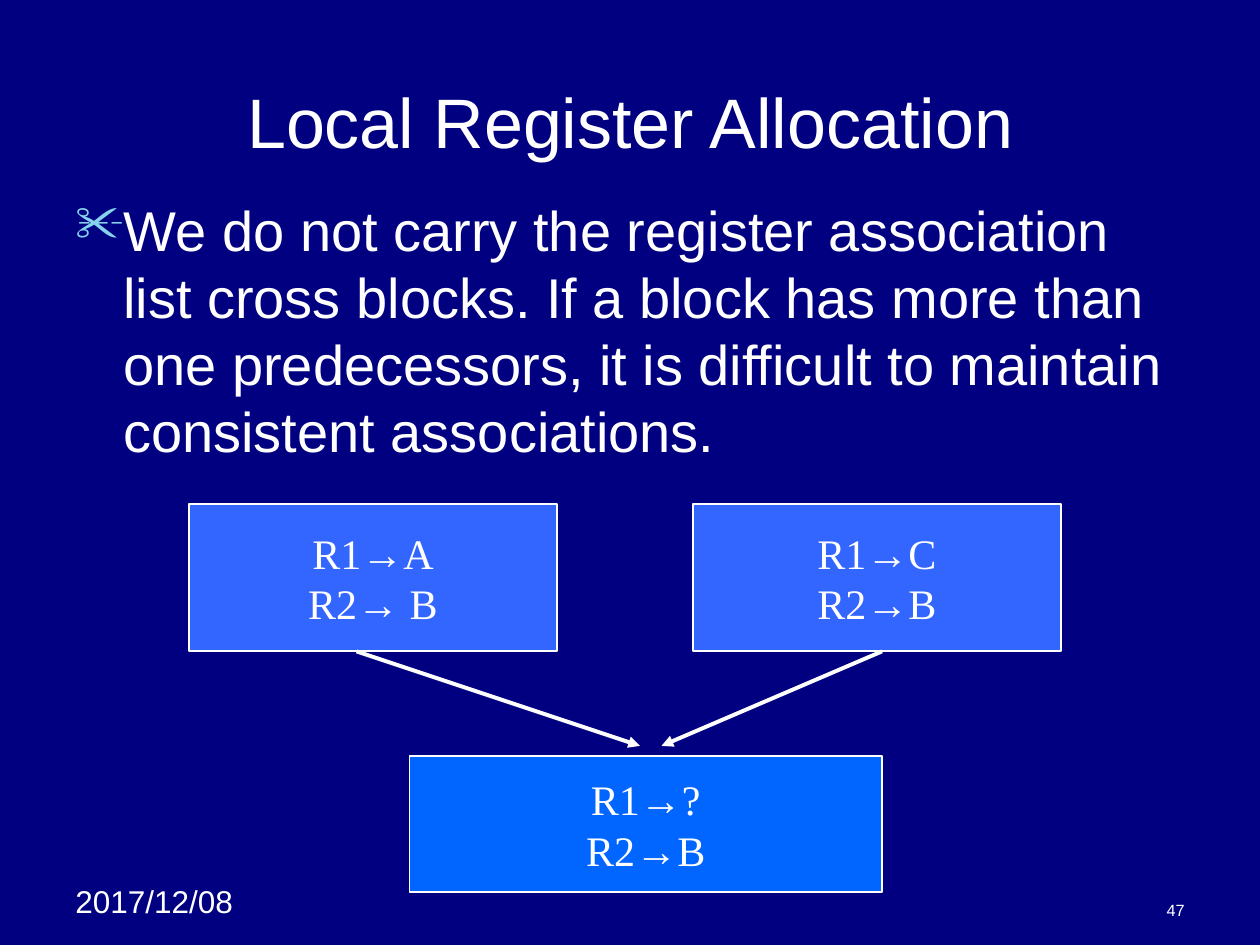
from dataclasses import dataclass

from lxml.etree import SubElement
from pptx import Presentation
from pptx.dml.color import RGBColor
from pptx.enum.shapes import MSO_CONNECTOR as Link, MSO_SHAPE as Form
from pptx.enum.text import MSO_ANCHOR as Anchor, PP_ALIGN as Align
from pptx.oxml.ns import qn
from pptx.util import Inches, Pt

HEX = {"back": "000080", "white": "FFFFFF", "source": "3366FF",
       "merge": "0066FF", "bullet": "86D1EC"}
SANS, SERIF = "Arial", "Times New Roman"
ARROW = "→"


@dataclass
class Label:
    text: str
    at: tuple[float, float, float, float]
    size: float
    align: Align = Align.LEFT
    anchor: Anchor = Anchor.TOP


@dataclass
class Block:
    """A basic block with its register pairs."""
    at: tuple[float, float, float, float]
    fill: str
    pairs: list[tuple[str, str]]


@dataclass
class Edge:
    start: tuple[float, float]
    end: tuple[float, float]


LABELS = [
    Label("2017/12/08", (0.5, 6.95, 1.58, 0.7), 18),
    Label("47", (7.17, 7.08, 2.33, 0.27), 9.3, Align.RIGHT, Anchor.BOTTOM),
    Label("Local Register Allocation", (0.5, 0.58, 9, 0.75), 40,
          Align.CENTER, Anchor.MIDDLE),
]
BODY = Label("We do not carry the register association list cross blocks. "
             "If a block has more than one predecessors, it is difficult to "
             "maintain consistent associations.", (0.5, 1.5, 9.08, 5.58), 32)
BLOCKS = [
    Block((1.5, 4, 2.92, 1.17), "source", [("R1", "A"), ("R2", " B")]),
    Block((5.5, 4, 2.92, 1.17), "source", [("R1", "C"), ("R2", "B")]),
    Block((3.25, 6, 3.75, 1.08), "merge", [("R1", "?"), ("R2", "B")]),
]
EDGES = [Edge((2.83, 5.17), (5.08, 5.92)), Edge((7, 5.17), (5.25, 5.92))]


def tint(name: str) -> RGBColor:
    return RGBColor.from_string(HEX[name])


def style(font, size: float) -> None:
    font.size = Pt(size)
    font.color.rgb = tint("white")


def add_label(slide, label: Label):
    """Draw a text box and return its paragraph."""
    frame = slide.shapes.add_textbox(*map(Inches, label.at)).text_frame
    frame.word_wrap = True
    frame.vertical_anchor = label.anchor
    para = frame.paragraphs[0]
    para.text = label.text
    para.alignment = label.align
    return para


def add_bullet(para) -> None:
    props = para._p.get_or_add_pPr()
    props.set("marL", str(Inches(0.38)))
    props.set("indent", str(-Inches(0.38)))
    color = SubElement(props, qn("a:buClr"))
    SubElement(color, qn("a:srgbClr"), val=HEX["bullet"])
    SubElement(props, qn("a:buSzPct"), val="90000")
    SubElement(props, qn("a:buChar"), char="✂")


def set_font(para, size: float) -> None:
    para.font.name = SANS
    style(para.font, size)


def add_block(slide, block: Block) -> None:
    shape = slide.shapes.add_shape(Form.RECTANGLE, *map(Inches, block.at))
    shape.shadow.inherit = False
    shape.fill.solid()
    shape.fill.fore_color.rgb = tint(block.fill)
    shape.line.color.rgb = tint("white")
    shape.line.width = Pt(1)
    frame = shape.text_frame
    frame.word_wrap = False
    frame.vertical_anchor = Anchor.MIDDLE
    for row, (reg, value) in enumerate(block.pairs):
        para = frame.add_paragraph() if row else frame.paragraphs[0]
        para.alignment = Align.CENTER
        style(para.font, 24)
        for text in (reg, ARROW, value):
            run = para.add_run()
            run.text = text
            run.font.name = SANS if text == ARROW else SERIF


def add_edge(slide, edge: Edge) -> None:
    line = slide.shapes.add_connector(
        Link.STRAIGHT, *map(Inches, edge.start + edge.end))
    line.line.color.rgb = tint("white")
    line.line.width = Pt(2.25)
    SubElement(line.line._get_or_add_ln(), qn("a:tailEnd"), type="triangle")
    SubElement(line._element.spPr, qn("a:effectLst"))


def main() -> None:
    deck = Presentation()
    deck.slide_width, deck.slide_height = Inches(10), Inches(7.5)
    slide = deck.slides.add_slide(deck.slide_layouts[6])
    slide.background.fill.solid()
    slide.background.fill.fore_color.rgb = tint("back")
    for label in LABELS:
        set_font(add_label(slide, label), label.size)
    para = add_label(slide, BODY)
    add_bullet(para)
    set_font(para, BODY.size)
    for block in BLOCKS:
        add_block(slide, block)
    for edge in EDGES:
        add_edge(slide, edge)
    deck.save("out.pptx")


if __name__ == "__main__":
    main()
